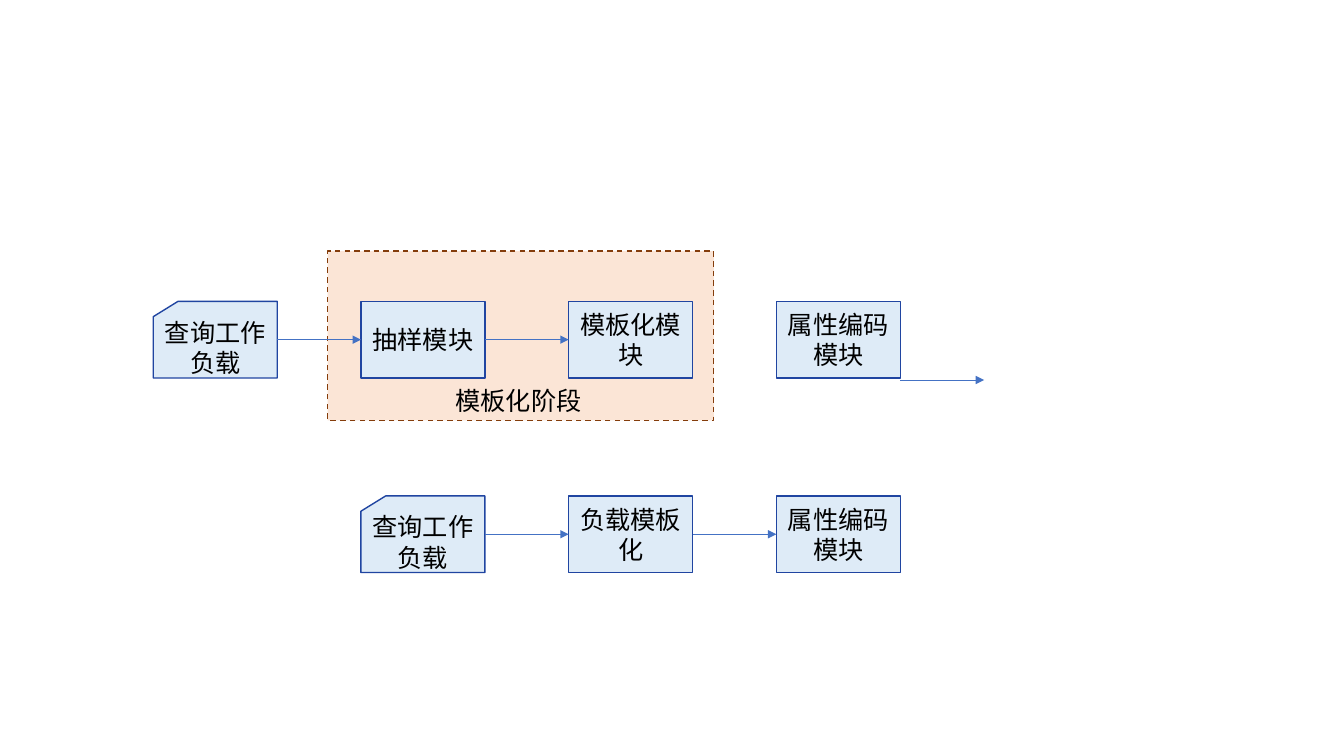
import pptx
import pptx.dml.color
import pptx.enum.dml
import pptx.enum.shapes
import pptx.enum.text
import pptx.oxml
import pptx.oxml.ns
import pptx.util
from pptx.util import Inches

FONT = "Noto Sans CJK SC"
SHAPES = pptx.enum.shapes.MSO_SHAPE
CARD = SHAPES.FLOWCHART_CARD
MODULE = SHAPES.RECTANGLE

FIRST_COLUMN, COLUMN_STEP = 1.52, 2.06
BOX_WIDTH, BOX_HEIGHT = 1.23, 0.76
UPPER_ROW, LOWER_ROW = 2.99, 4.92

STEPS = [
    (0, UPPER_ROW, CARD, "查询工作负载"),
    (1, UPPER_ROW, MODULE, "抽样模块"),
    (2, UPPER_ROW, MODULE, "模板化模块"),
    (3, UPPER_ROW, MODULE, "属性编码模块"),
    (1, LOWER_ROW, CARD, "查询工作负载"),
    (2, LOWER_ROW, MODULE, "负载模板化"),
    (3, LOWER_ROW, MODULE, "属性编码模块"),
]
# Column the arrow leaves, and its height on the slide
ARROWS = [
    (0, UPPER_ROW + BOX_HEIGHT / 2),
    (1, UPPER_ROW + BOX_HEIGHT / 2),
    (3, 3.77),
    (1, LOWER_ROW + BOX_HEIGHT / 2),
    (2, LOWER_ROW + BOX_HEIGHT / 2),
]


def color(hex_string):
    return pptx.dml.color.RGBColor.from_string(hex_string)


def column_left(column):
    return FIRST_COLUMN + column * COLUMN_STEP


def append_xml(parent, tag, attributes=""):
    namespace = pptx.oxml.ns.nsdecls("a")
    parent.append(pptx.oxml.parse_xml(f"<a:{tag} {namespace} {attributes}/>"))


def write_text(frame, text, alignment):
    frame.text = text
    paragraph = frame.paragraphs[0]
    paragraph.alignment = alignment
    font = paragraph.runs[0].font
    font.size = pptx.util.Pt(18)
    font.name = FONT
    font.color.rgb = color("000000")
    append_xml(paragraph.runs[0].font._element, "ea", f'typeface="{FONT}"')


def add_box(slide, kind, left, top, width, height, fill, outline):
    box = slide.shapes.add_shape(
        kind, Inches(left), Inches(top), Inches(width), Inches(height))
    box.shadow.inherit = False
    box.fill.solid()
    box.fill.fore_color.rgb = color(fill)
    box.line.color.rgb = color(outline)
    box.line.width = pptx.util.Pt(1)
    return box


def add_stage(slide):
    """Dashed frame around the templating stage, drawn behind the steps."""
    stage = add_box(slide, MODULE, 3.25, 2.49, 3.83, 1.68, "FBE5D6", "843C0B")
    stage.line.dash_style = pptx.enum.dml.MSO_LINE.DASH


def add_stage_label(slide):
    label = slide.shapes.add_textbox(
        Inches(4.42), Inches(3.77), Inches(1.5), Inches(0.4))
    label.text_frame.word_wrap = True
    label.text_frame.auto_size = pptx.enum.text.MSO_AUTO_SIZE.SHAPE_TO_FIT_TEXT
    write_text(label.text_frame, "模板化阶段", pptx.enum.text.PP_ALIGN.LEFT)


def add_step(slide, column, top, kind, text):
    step = add_box(slide, kind, column_left(column), top,
                   BOX_WIDTH, BOX_HEIGHT, "DEEBF7", "2045A1")
    step.text_frame.word_wrap = True
    step.text_frame.vertical_anchor = pptx.enum.text.MSO_ANCHOR.MIDDLE
    write_text(step.text_frame, text, pptx.enum.text.PP_ALIGN.CENTER)


def add_arrow(slide, column, y):
    """Arrow from a column's right edge to the left edge of the next column."""
    arrow = slide.shapes.add_connector(
        pptx.enum.shapes.MSO_CONNECTOR.STRAIGHT,
        Inches(column_left(column) + BOX_WIDTH), Inches(y),
        Inches(column_left(column + 1)), Inches(y))
    arrow.line.color.rgb = color("4472C4")
    arrow.line.width = pptx.util.Pt(0.5)
    append_xml(arrow.line._get_or_add_ln(), "tailEnd", 'type="triangle"')
    append_xml(arrow._element.spPr, "effectLst")


def main():
    presentation = pptx.Presentation()
    presentation.slide_width = Inches(13.33)
    presentation.slide_height = Inches(7.5)
    slide = presentation.slides.add_slide(presentation.slide_layouts[6])

    add_stage(slide)
    for step in STEPS:
        add_step(slide, *step)
    for arrow in ARROWS:
        add_arrow(slide, *arrow)
    add_stage_label(slide)

    presentation.save("out.pptx")


if __name__ == "__main__":
    main()
